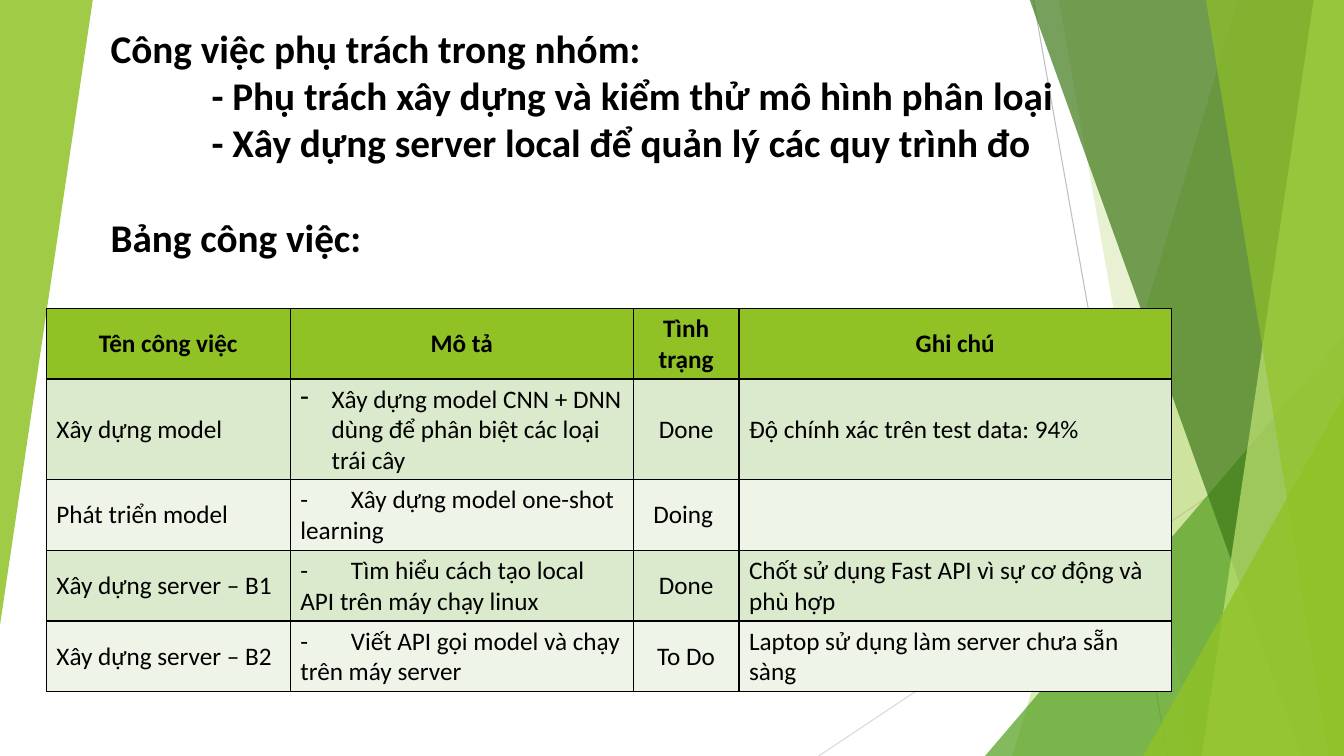
from pptx import Presentation, util as u
from pptx.dml.color import RGBColor
from pptx.enum import shapes, text
from pptx.oxml import parse_xml
from pptx.oxml.ns import nsdecls
from lxml import etree

PX = 9144
BLACK = RGBColor(0, 0, 0)
GRAY = RGBColor(0xBF, 0xBF, 0xBF)
PALE = RGBColor(0xD9, 0xD9, 0xD9)
LIME = RGBColor(0x90, 0xC2, 0x26)
GREEN = RGBColor(0x54, 0xA0, 0x21)
DARK = RGBColor(0x3F, 0x78, 0x19)
LIGHT = RGBColor(0xC0, 0xE4, 0x74)
BAND = [RGBColor(0xEE, 0xF4, 0xE8), RGBColor(0xDB, 0xE9, 0xCD)]
MID, LEFT = text.PP_ALIGN.CENTER, text.PP_ALIGN.LEFT


def px(*nums):
    return [n * PX for n in nums]


def put(par, words, size=18, bold=False, align=LEFT, left=0, hang=0, tab=0, gap=0):
    run = par.add_run()
    run.text = words
    run.font.name = "Calibri"
    run.font.size = u.Pt(size)
    run.font.bold = bold
    run.font.color.rgb = BLACK
    par.alignment = align
    par.space_before = u.Pt(gap)
    props = par._p.get_or_add_pPr()
    props.set("marL", str(left * PX))
    props.set("indent", str(-hang * PX))
    if hang:
        props.append(parse_xml(f'<a:buChar {nsdecls("a")} char="-"/>'))
    if tab:
        props.append(parse_xml(f'<a:tabLst {nsdecls("a")}><a:tab pos="{tab * PX}" algn="l"/></a:tabLst>'))


deck = Presentation()
deck.slide_width, deck.slide_height = px(1333, 750)
slide = deck.slides.add_slide(deck.slide_layouts[6])
tree = slide.shapes

for ends, tone in [((1025, 0, 1158, 750), GRAY), ((1333, 403, 812, 750), PALE)]:
    line = tree.add_connector(shapes.MSO_CONNECTOR.STRAIGHT, *px(*ends))
    line.line.color.rgb = tone
    line.line.width = u.Pt(0.75)
    etree.SubElement(line._element.spPr, "{http://schemas.openxmlformats.org/drawingml/2006/main}effectLst")

facets = [
    ((1228, 1004), LIME, 30),
    ((1050, 1183), LIME, 20),
    ((977, 333, 356, 417), GREEN, 72),
    ((1021, 1291), DARK, 70),
    ((1303, 1192), LIGHT, 70),
    ((1196, 1318), LIME, 65),
    ((1134, 393, 199, 357), LIME, 80),
    ((0, 0, 92, 620), LIME, 85),
]
for at, tone, alpha in facets:
    if len(at) == 2:
        top, foot = at
        pen = tree.build_freeform(top, -1, scale=PX)
        pen.add_line_segments([(1333, -1), (1333, 750), (foot, 750)], close=True)
        facet = pen.convert_to_shape()
    else:
        facet = tree.add_shape(shapes.MSO_SHAPE.ISOSCELES_TRIANGLE, *px(*at))
        facet.adjustments[0] = 1
        facet.rotation = 180 if at[0] == 0 else 0
    facet.shadow.inherit = False
    facet.line.fill.background()
    facet.fill.solid()
    facet.fill.fore_color.rgb = tone
    color = facet.fill._xPr.find(".//{*}srgbClr")
    color.append(parse_xml(f'<a:alpha {nsdecls("a")} val="{alpha * 1000}"/>'))

frame = tree.add_textbox(*px(100, 19, 1116, 246)).text_frame
frame.word_wrap = True
heads = [
    ("Công việc phụ trách trong nhóm:", 0, 0),
    ("- Phụ trách xây dựng và kiểm thử mô hình phân loại", 100, 0),
    ("- Xây dựng server local để quản lý các quy trình đo", 100, 0),
    ("Bảng công việc:", 0, 34),
]
for i, (words, left, gap) in enumerate(heads):
    par = frame.add_paragraph() if i else frame.paragraphs[0]
    put(par, words, size=28, bold=True, left=left, gap=gap)

rows = [
    ("Tên công việc", "Mô tả", "Tình trạng", "Ghi chú"),
    ("Xây dựng model", "Xây dựng model CNN + DNN dùng để phân biệt các loại trái cây",
     "Done", "Độ chính xác trên test data: 94%"),
    ("Phát triển model", "-\tXây dựng model one-shot learning", "Doing ", ""),
    ("Xây dựng server – B1", "-\tTìm hiểu cách tạo local API trên máy chạy linux",
     "Done", "Chốt sử dụng Fast API vì sự cơ động và phù hợp"),
    ("Xây dựng server – B2", "-\tViết API gọi model và chạy trên máy server",
     "To Do", "Laptop sử dụng làm server chưa sẵn sàng"),
]
grid = tree.add_table(5, 4, *px(46, 306, 1116, 380)).table
for col, wide in zip(grid.columns, px(242, 340, 105, 429)):
    col.width = wide
for row, high in zip(grid.rows, px(70, 100, 70, 70, 70)):
    row.height = high
for r, row in enumerate(rows):
    for c, words in enumerate(row):
        cell = grid.cell(r, c)
        cell.vertical_anchor = text.MSO_ANCHOR.MIDDLE
        props = cell._tc.get_or_add_tcPr()
        for side in "LRTB":
            props.append(parse_xml(
                f'<a:ln{side} {nsdecls("a")} w="12700"><a:solidFill>'
                f'<a:srgbClr val="{BLACK}"/></a:solidFill></a:ln{side}>'))
        cell.fill.solid()
        cell.fill.fore_color.rgb = BAND[r % 2] if r else LIME
        if words:
            hang = 31 if (r, c) == (1, 1) else 0
            put(cell.text_frame.paragraphs[0], words, bold=r == 0,
                align=MID if r == 0 or c == 2 else LEFT,
                left=hang, hang=hang, tab=30 if "\t" in words else 0)

deck.save("out.pptx")
